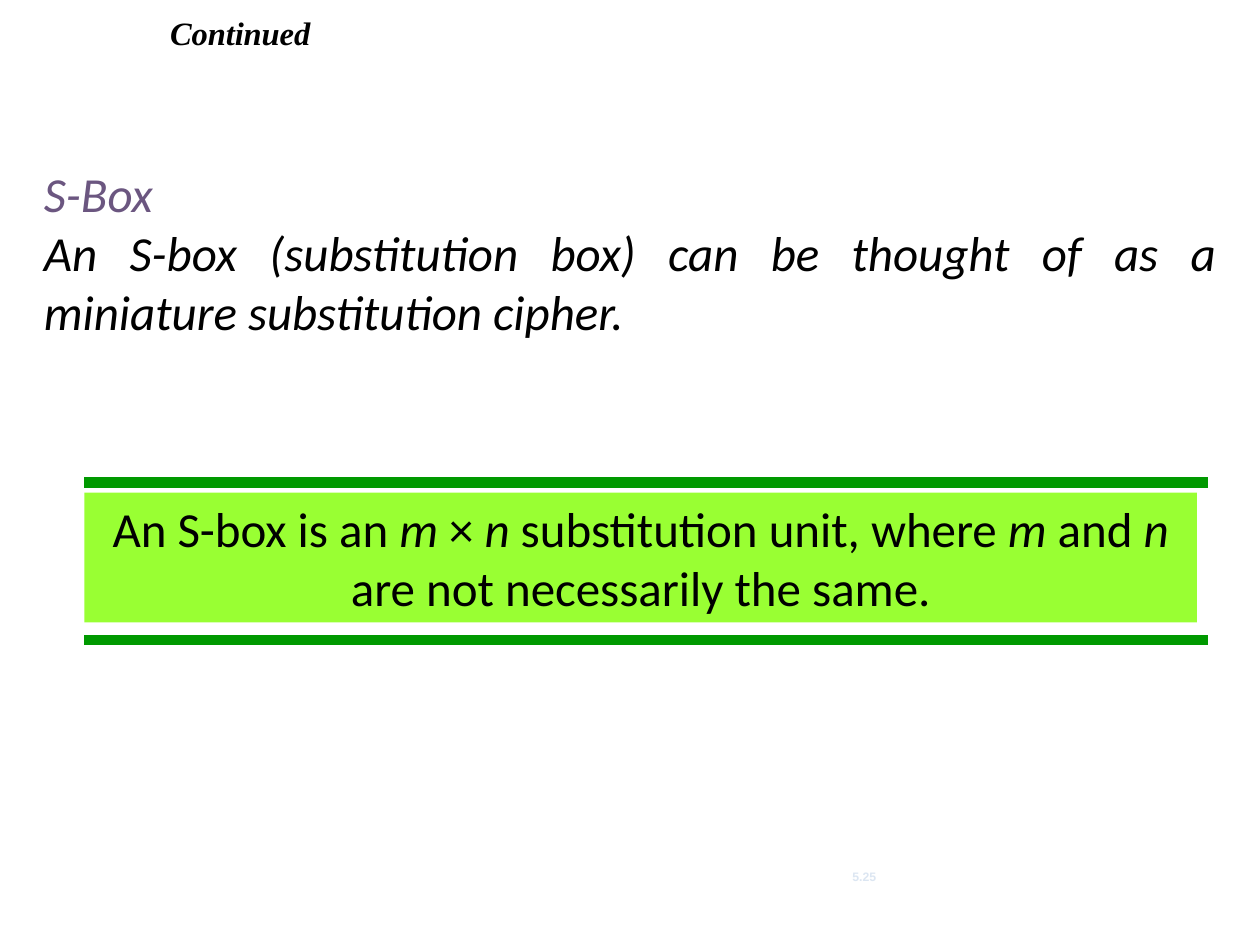
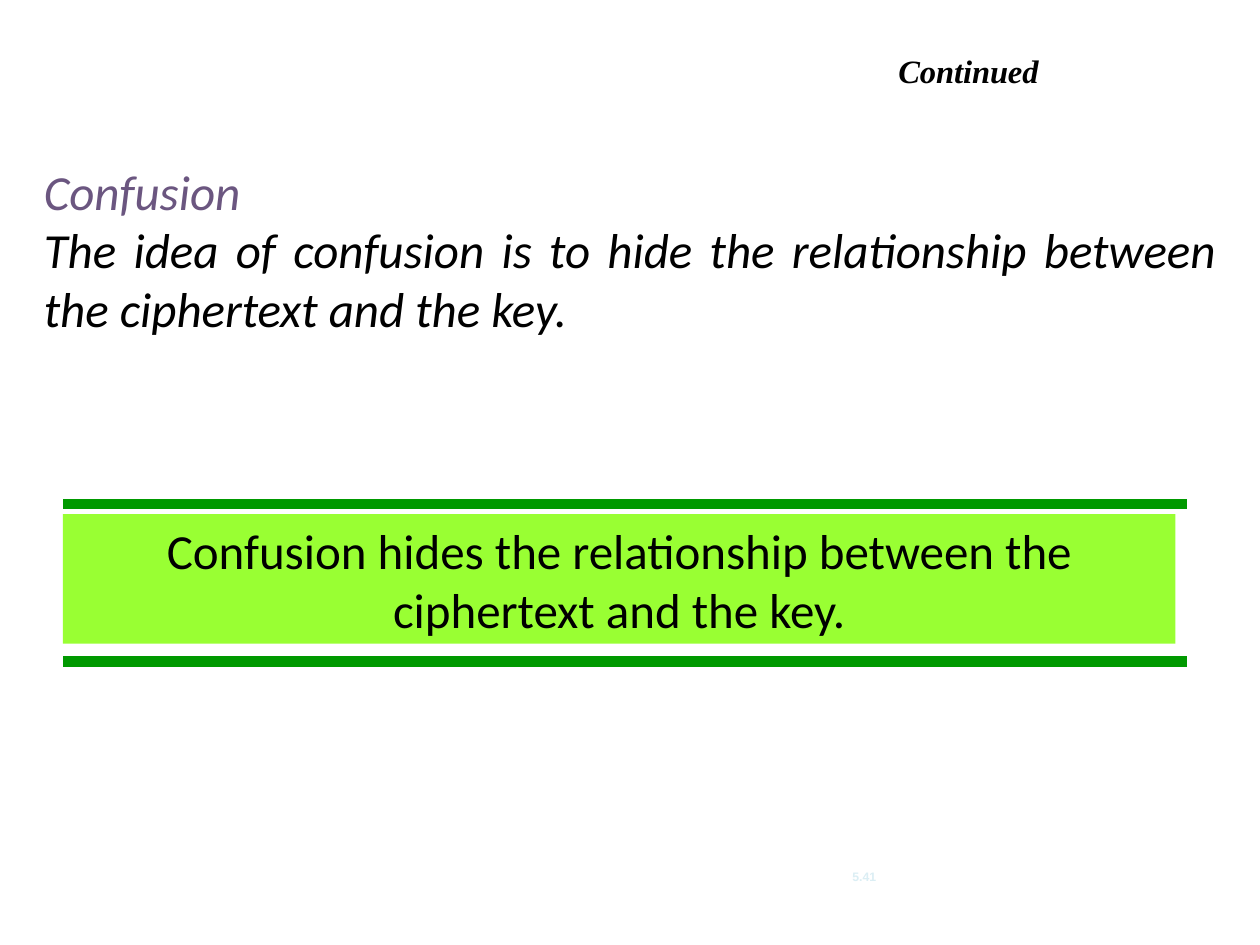
from pptx import Presentation
from pptx.dml.color import RGBColor
from pptx.enum import shapes, text
from pptx.oxml import ns, xmlchemy
from pptx.util import Inches, Pt

BLACK = RGBColor(0x00, 0x00, 0x00)
WHITE = RGBColor(0xFF, 0xFF, 0xFF)
PURPLE = RGBColor(0x6B, 0x56, 0x80)
LIME = RGBColor(0x99, 0xFF, 0x33)
GREEN = RGBColor(0x00, 0x99, 0x00)
PALE_BLUE = RGBColor(0xDC, 0xE6, 0xF2)
PALE_TEAL = RGBColor(0xDB, 0xEE, 0xF4)
LEFT, CENTER, JUSTIFY = text.PP_ALIGN.LEFT, text.PP_ALIGN.CENTER, text.PP_ALIGN.JUSTIFY


def write(paragraph, wording, font="Calibri", size=28, color=BLACK,
          bold=False, italic=False, align=LEFT):
    paragraph.alignment = align
    run = paragraph.add_run()
    run.text = wording
    run.font.name = font
    run.font.size = Pt(size)
    run.font.color.rgb = color
    run.font.bold = bold
    run.font.italic = italic
    return run


def fit_frame(shape, wrap=True):
    frame = shape.text_frame
    frame.word_wrap = wrap
    frame.auto_size = text.MSO_AUTO_SIZE.SHAPE_TO_FIT_TEXT
    frame.vertical_anchor = text.MSO_ANCHOR.TOP
    return frame


def add_panel(slide, left, top, width, height, color):
    panel = slide.shapes.add_shape(
        shapes.MSO_SHAPE.RECTANGLE, Inches(left), Inches(top), Inches(width), Inches(height))
    panel.shadow.inherit = False
    panel.fill.solid()
    panel.fill.fore_color.rgb = color
    panel.line.fill.background()
    return fit_frame(panel)


def add_title(slide, left, top):
    title = slide.shapes.title
    title.left, title.top = Inches(left), Inches(top)
    title.width, title.height = Inches(2.15), Inches(0.64)
    frame = fit_frame(title, wrap=False)
    run = write(frame.paragraphs[0], "Continued", font="Times New Roman",
                size=32, bold=True, italic=True)
    run.font._element.set("baseline", "30000")


def add_definition(slide, top, term, meaning):
    frame = add_panel(slide, 0.25, top, 9.5, 1.5, WHITE)
    write(frame.paragraphs[0], term, color=PURPLE, italic=True, align=JUSTIFY)
    write(frame.add_paragraph(), meaning, italic=True, align=JUSTIFY)


def add_rule(slide, left, top, width):
    rule = slide.shapes.add_connector(
        shapes.MSO_CONNECTOR.STRAIGHT,
        Inches(left), Inches(top), Inches(left + width), Inches(top))
    rule.line.color.rgb = GREEN
    rule.line.width = Pt(6)
    rule._element.spPr.append(xmlchemy.OxmlElement("a:effectLst"))


def add_callout(slide, left, top, pieces):
    frame = add_panel(slide, left, top + 0.08, 8.83, 1.03, LIME)
    for wording, italic in pieces:
        write(frame.paragraphs[0], wording, italic=italic, align=CENTER)
    for offset in (0, 1.25):
        add_rule(slide, left, top + offset, 8.92)


def add_page_number(slide, number, color):
    box = slide.shapes.add_textbox(Inches(6.36), Inches(6.85), Inches(1), Inches(0.22))
    frame = fit_frame(box)
    write(frame.paragraphs[0], number, font="Arial", size=7, color=color,
          bold=True, align=CENTER)


def add_concept_slide(deck, title_at, definition, callout, page):
    slide = deck.slides.add_slide(deck.slide_layouts[5])
    slide.background.fill.solid()
    slide.background.fill.fore_color.rgb = WHITE
    add_title(slide, *title_at)
    add_definition(slide, *definition)
    add_callout(slide, *callout)
    add_page_number(slide, *page)


def main():
    deck = Presentation()
    deck.slide_width, deck.slide_height = Inches(10), Inches(7.5)
    add_concept_slide(
        deck, (1.25, 0),
        (1.25, "S-Box",
         "An S-box (substitution box) can be thought of as a miniature substitution cipher."),
        (0.67, 3.83, [
            ("An S-box is an ", False), ("m", True), (" × ", False), ("n", True),
            (" substitution unit, where ", False), ("m", True), (" and ", False),
            ("n", True), (" are not necessarily the same.", False)]),
        ("5.25", PALE_BLUE))
    add_concept_slide(
        deck, (7.03, 0.3),
        (1.23, "Confusion",
         "The idea of confusion is to hide the relationship between the ciphertext and the key."),
        (0.5, 4, [
            ("Confusion hides the relationship between the ciphertext and the key.", False)]),
        ("5.41", PALE_TEAL))
    deck.save("out.pptx")


if __name__ == "__main__":
    main()
